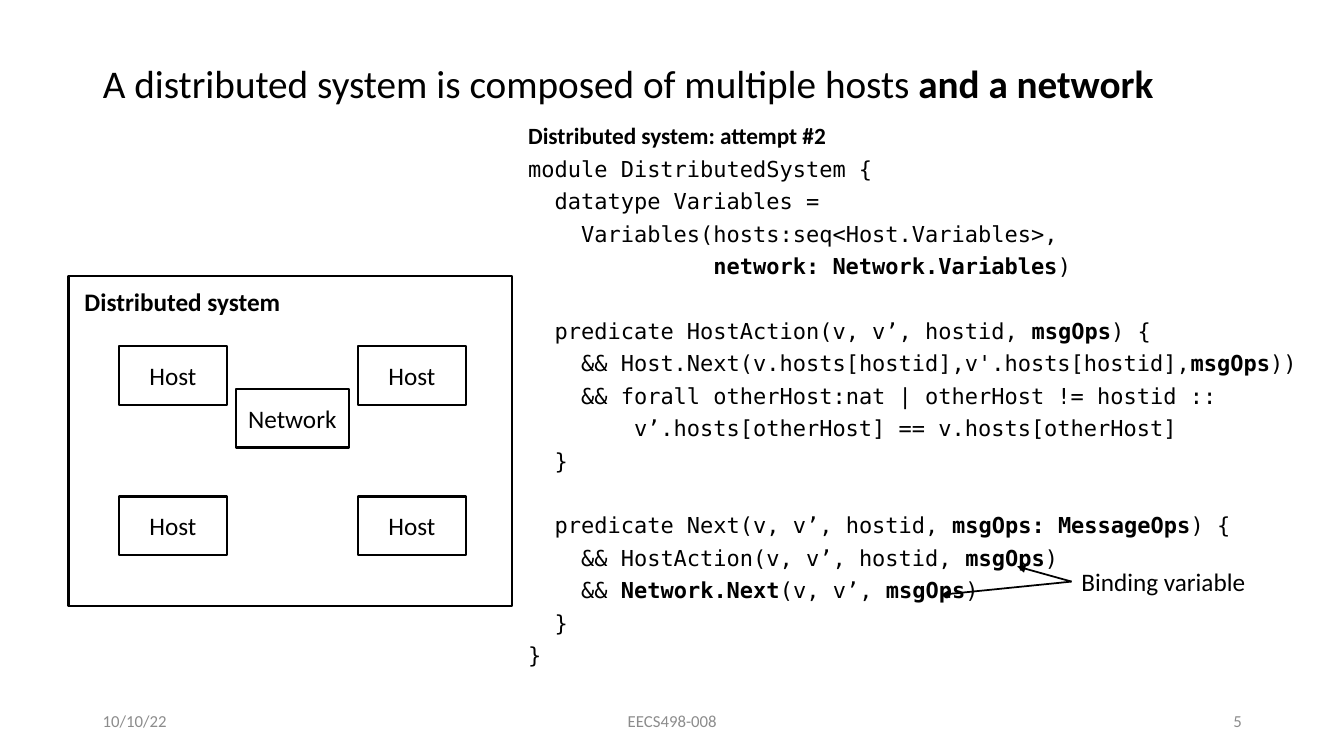
from dataclasses import dataclass

from lxml import etree
from pptx import Presentation
from pptx import util as u
from pptx.dml.color import RGBColor
from pptx.enum import shapes, text
from pptx.oxml import ns

WIDTH, HEIGHT = u.Inches(13.333), u.Inches(7.5)


@dataclass(frozen=True)
class Theme:
    ink: RGBColor = RGBColor(0, 0, 0)
    muted: RGBColor = RGBColor(0x8C, 0x8C, 0x8C)
    paper: RGBColor = RGBColor(255, 255, 255)
    font: str = "Calibri"
    mono: str = "DejaVu Sans Mono"
    title: float = 28
    label: float = 18
    heading: float = 16.6
    code: float = 15.7
    footer: float = 12
    outline: float = 1.5
    arrow: float = 1.25


THEME = Theme()
CODE_COLUMN = THEME.code * 0.602  # advance of one monospaced character, in points
LINE_GAP, BLOCK_GAP = 10, 33

# Each line: indent in characters, space before, text with **bold** parts
CODE = [
    (0, LINE_GAP, "module DistributedSystem {"),
    (2, LINE_GAP, "datatype Variables ="),
    (4, LINE_GAP, "Variables(hosts:seq<Host.Variables>,"),
    (14, LINE_GAP, "**network: Network.Variables**)"),
    (2, BLOCK_GAP, "predicate HostAction(v, v’, hostid, **msgOps**) {"),
    (4, LINE_GAP, "&& Host.Next(v.hosts[hostid],v'.hosts[hostid],**msgOps**))"),
    (4, LINE_GAP, "&& forall otherHost:nat | otherHost != hostid ::"),
    (8, LINE_GAP, "v’.hosts[otherHost] == v.hosts[otherHost]"),
    (2, LINE_GAP, "}"),
    (2, BLOCK_GAP, "predicate Next(v, v’, hostid, **msgOps: MessageOps**) {"),
    (4, LINE_GAP, "&& HostAction(v, v’, hostid, **msgOps**)"),
    (4, LINE_GAP, "&& **Network.Next**(v, v’, **msgOps**)"),
    (2, LINE_GAP, "}"),
    (0, LINE_GAP, "}"),
]


def share(*percents):
    """Turn alternating x and y percentages of the slide into lengths."""
    return [u.Emu(int(side * value / 100))
            for value, side in zip(percents, (WIDTH, HEIGHT) * 2)]


def write(para, words, size=THEME.label, font=THEME.font, color=THEME.ink,
          align=text.PP_ALIGN.LEFT, spacing=1.0, before=0, indent=0):
    """Fill a paragraph; parts between ** marks become bold."""
    para.alignment, para.line_spacing = align, spacing
    para.space_before = u.Pt(before)
    props = para._p.get_or_add_pPr()
    props.set("marL", str(int(u.Pt(indent))))
    props.set("indent", "0")
    etree.SubElement(props, ns.qn("a:buNone"))
    for index, part in enumerate(words.split("**")):
        if part:
            span = para.add_run()
            span.text = part
            span.font.size, span.font.name = u.Pt(size), font
            span.font.bold = index % 2 == 1
            span.font.color.rgb = color


def set_frame(box, place, anchor=text.MSO_ANCHOR.TOP, wrap=True):
    box.left, box.top, box.width, box.height = share(*place)
    frame = box.text_frame
    frame.auto_size = text.MSO_AUTO_SIZE.NONE
    frame.word_wrap, frame.vertical_anchor = wrap, anchor
    return frame


def add_label(page, place, words, anchor=text.MSO_ANCHOR.TOP, wrap=True, **style):
    box = page.shapes.add_textbox(0, 0, 0, 0)
    write(set_frame(box, place, anchor, wrap).paragraphs[0], words, **style)


def add_node(page, place, words=""):
    """Add an outlined rectangle with an optional centred name."""
    box = page.shapes.add_shape(shapes.MSO_SHAPE.RECTANGLE, *share(*place))
    box.shadow.inherit = False
    box.fill.solid()
    box.fill.fore_color.rgb = THEME.paper
    box.line.color.rgb = THEME.ink
    box.line.width = u.Pt(THEME.outline)
    if words:
        frame = box.text_frame
        frame.vertical_anchor = text.MSO_ANCHOR.MIDDLE
        write(frame.paragraphs[0], words, align=text.PP_ALIGN.CENTER)


def add_arrow(page, start, end):
    arrow = page.shapes.add_connector(
        shapes.MSO_CONNECTOR.STRAIGHT, *share(*start, *end))
    arrow.line.color.rgb = THEME.ink
    arrow.line.width = u.Pt(THEME.arrow)
    etree.SubElement(arrow.line._get_or_add_ln(), ns.qn("a:tailEnd"), type="triangle")
    etree.SubElement(arrow._element.spPr, ns.qn("a:effectLst"))


def add_code(box):
    frame = set_frame(box, (38.55, 16.4, 60.53, 76.27))
    write(frame.paragraphs[0], "**Distributed system: attempt #2**",
          size=THEME.heading, spacing=0.7, before=LINE_GAP)
    for columns, gap, words in CODE:
        write(frame.add_paragraph(), words, size=THEME.code, font=THEME.mono,
              spacing=0.7, before=gap, indent=columns * CODE_COLUMN)


def add_system(page):
    add_node(page, (5.1, 36.53, 33, 43.6))
    add_label(page, (5.55, 37.2, 16.2, 5.33), "**Distributed system**", wrap=False)
    for top in (45.8, 65.67):
        for left in (8.85, 26.63):
            add_node(page, (left, top, 8.03, 7.73), "Host")
    add_node(page, (17.55, 51.47, 8.4, 7.73), "Network")


def add_binding_note(page):
    add_label(page, (79.73, 74.27, 15.3, 5.33), "Binding variable")
    for target in ((75.68, 74.93), (70.05, 78.67)):
        add_arrow(page, (79.73, 76.93), target)


def add_footer(page):
    for left, width, words, align in (
            (6.9, 22.5, "10/10/22", text.PP_ALIGN.LEFT),
            (33.15, 33.75, "EECS498-008", text.PP_ALIGN.CENTER),
            (70.65, 22.5, "5", text.PP_ALIGN.RIGHT)):
        add_label(page, (left, 92.67, width, 5.33), words, text.MSO_ANCHOR.MIDDLE,
                  size=THEME.footer, color=THEME.muted, align=align)


def main():
    deck = Presentation()
    deck.slide_width, deck.slide_height = WIDTH, HEIGHT
    page = deck.slides.add_slide(deck.slide_layouts[1])
    title = set_frame(page.shapes.title, (6.9, 7.87, 86.25, 8.53))
    write(title.paragraphs[0],
          "A distributed system is composed of multiple hosts **and a network**",
          size=THEME.title, spacing=0.9, before=LINE_GAP)
    add_footer(page)
    add_code(page.placeholders[1])
    add_system(page)
    add_binding_note(page)
    deck.save("out.pptx")


if __name__ == "__main__":
    main()
